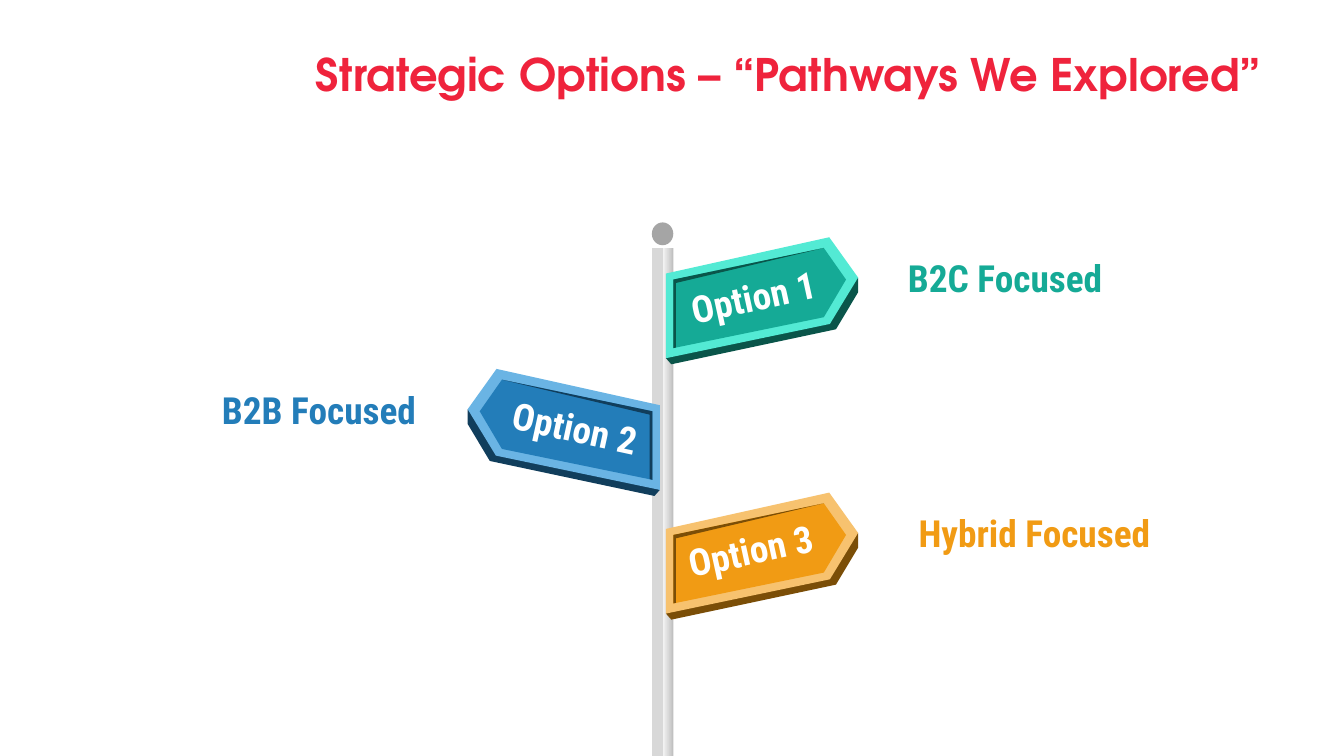
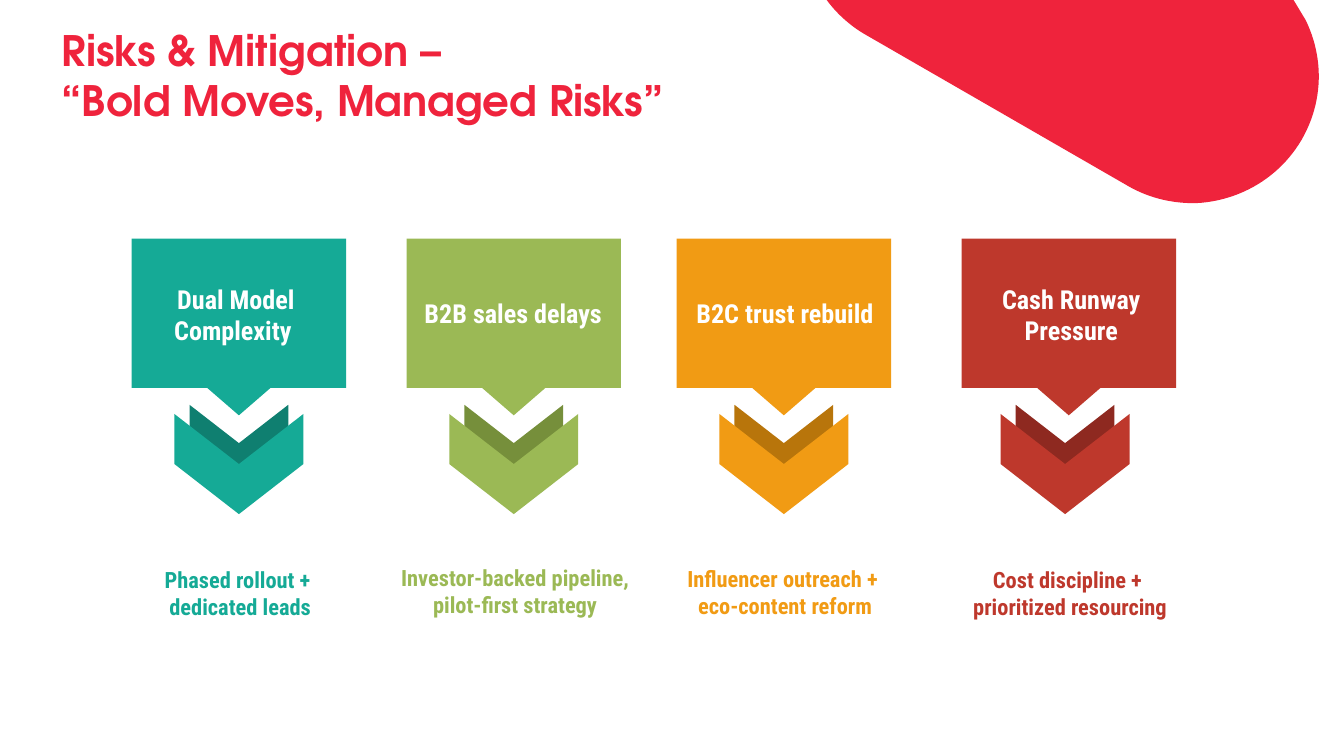
from dataclasses import dataclass

from pptx import Presentation
from pptx.dml.color import RGBColor
from pptx.enum.shapes import MSO_SHAPE
from pptx.enum.text import MSO_ANCHOR, PP_ALIGN
from pptx.oxml import parse_xml
from pptx.oxml.ns import nsdecls
from pptx.util import Pt


@dataclass(frozen=True)
class Shades:
    """One colour with its lighter and darker companions."""
    base: str
    dark: str
    light: str = "FFFFFF"


@dataclass(frozen=True)
class Theme:
    """Colours, fonts and type sizes of the presentation."""
    red: str = "EF233C"
    white: str = "FFFFFF"
    knob: str = "A5A5A5"
    pole: tuple = ((0, "D8D8D8"), (51, "D8D8D8"), (54, "F2F2F2"), (100, "BFBFBF"))
    teal: Shades = Shades("15AA96", "0A554A", "53EAD4")
    blue: Shades = Shades("237DB9", "113E5C", "6AB4E4")
    orange: Shades = Shades("F19B14", "7B4E07", "F7C26F")
    teal_column: Shades = Shades("15AA96", "0F7F70")
    green_column: Shades = Shades("9BB955", "768F3B")
    orange_column: Shades = Shades("F19B14", "B8750B")
    red_column: Shades = Shades("BE382C", "8E2920")
    title_font: str = "TeX Gyre Adventor"
    body_font: str = "Roboto Condensed"
    sign_size: float = 40
    heading_size: float = 28
    caption_size: float = 24


THEME = Theme()
SIGN_WIDTH = 205.9
SIGN_EDGE = ((0, 129.6), (5.8, 136.1), (182.2, 98.6), (205.9, 59), (205.9, 43.2))
SIGN_FRAME = ((0, 38.9), (0, 129.6), (175.7, 92.9), (205.9, 43.2), (175, 0))
SIGN_FACE = ((193, 45.4), (169.2, 11.5), (7.9, 45.4), (7.9, 118.8), (169.2, 85.7))
SIGN_SHADE = ((169.2, 11.5), (10.8, 49), (10.8, 118.1), (7.9, 118.8), (7.9, 45.4))


def paint(shape, color):
    """Give a shape a plain fill without line or shadow."""
    shape.shadow.inherit = False
    shape.line.fill.background()
    shape.fill.solid()
    shape.fill.fore_color.rgb = RGBColor.from_string(color)
    return shape


def add_preset(slide, kind, box, color, rotation=0):
    """Add a preset shape in a box of points."""
    shape = slide.shapes.add_shape(kind, *map(Pt, box))
    shape.rotation = rotation
    return paint(shape, color)


def add_outline(slide, points, color):
    """Add a closed outline through points."""
    start, *others = [(Pt(x), Pt(y)) for x, y in points]
    builder = slide.shapes.build_freeform(*start)
    builder.add_line_segments(others, close=True)
    return paint(builder.convert_to_shape(), color)


def add_text(slide, text, box, *, size, color, font=THEME.body_font, align=PP_ALIGN.LEFT,
             anchor=MSO_ANCHOR.TOP, margins=(0, 0), line_spacing=None, rotation=0):
    """Add bold text, one paragraph for each line."""
    shape = slide.shapes.add_textbox(*map(Pt, box))
    shape.rotation = rotation
    frame = shape.text_frame
    frame.word_wrap = True
    frame.vertical_anchor = anchor
    frame.margin_left = frame.margin_right = Pt(margins[0])
    frame.margin_top = frame.margin_bottom = Pt(margins[1])
    frame.text = text
    for paragraph in frame.paragraphs:
        paragraph.alignment = align
        if line_spacing:
            paragraph.line_spacing = Pt(line_spacing)
        paragraph.font.size = Pt(size)
        paragraph.font.bold = True
        paragraph.font.name = font
        paragraph.font.color.rgb = RGBColor.from_string(color)
    return shape


def add_title(slide, text, box, size, line_spacing, align=PP_ALIGN.LEFT):
    """Add the slide title."""
    add_text(slide, text, box, size=size, color=THEME.red, font=THEME.title_font,
             align=align, line_spacing=line_spacing)


def add_pole(slide, left, top, width, height):
    """Add the signpost pole with its knob."""
    pole = add_preset(slide, MSO_SHAPE.RECTANGLE, (left, top + 27.4, width, height - 27.4),
                      THEME.pole[0][1])
    stops = "".join(f'<a:gs pos="{position * 1000}"><a:srgbClr val="{color}"/></a:gs>'
                    for position, color in THEME.pole)
    gradient = parse_xml(f'<a:gradFill {nsdecls("a")} rotWithShape="1"><a:gsLst>{stops}'
                         '</a:gsLst><a:lin ang="0" scaled="0"/></a:gradFill>')
    properties = pole._element.spPr
    properties.replace(properties.solidFill, gradient)
    add_preset(slide, MSO_SHAPE.OVAL, (left, top, width, 24.5), THEME.knob)


def add_sign(slide, left, top, shades, text, text_offset, points_left=False):
    """Add a tilted sign that points right, or left when mirrored."""
    parts = ((SIGN_EDGE, shades.dark), (SIGN_FRAME, shades.light),
             (SIGN_FACE, shades.base), (SIGN_SHADE, shades.dark))
    for points, color in parts:
        placed = [(left + (SIGN_WIDTH - x if points_left else x), top + y) for x, y in points]
        add_outline(slide, placed, color)
    add_text(slide, text, (left + text_offset[0], top + text_offset[1], 160.6, 50.4),
             size=THEME.sign_size, color=THEME.white, align=PP_ALIGN.RIGHT,
             anchor=MSO_ANCHOR.MIDDLE, rotation=12.3 if points_left else 347.7)


def add_options_slide(presentation):
    """Build the signpost slide with three options."""
    slide = presentation.slides.add_slide(presentation.slide_layouts[6])
    add_title(slide, "Strategic Options – “Pathways We Explored”", (88.6, 49.7, 1262.9, 64.8),
              48, 57.6, PP_ALIGN.RIGHT)
    add_pole(slide, 698.4, 238.3, 23, 571.7)
    add_sign(slide, 501.1, 395.3, THEME.blue, "Option 2", (22.3, 34.6), points_left=True)
    add_sign(slide, 713.5, 254.2, THEME.teal, "Option 1", (0.7, 41))
    add_sign(slide, 713.5, 527.8, THEME.orange, "Option 3", (-2.2, 38.9))
    labels = (
        ("B2B Focused", (226.8, 414, 218.9, 50.4), THEME.blue, PP_ALIGN.RIGHT),
        ("B2C Focused", (972.7, 272.2, 218.9, 50.4), THEME.teal, PP_ALIGN.LEFT),
        ("Hybrid Focused", (984.2, 545.8, 318.2, 50.4), THEME.orange, PP_ALIGN.LEFT),
    )
    for text, box, shades, align in labels:
        add_text(slide, text, box, size=THEME.sign_size, color=shades.base, align=align,
                 anchor=MSO_ANCHOR.MIDDLE)


def curve_points(start, first, second, end, steps=24):
    """Return points along a cubic curve, without its start."""
    points = []
    for step in range(1, steps + 1):
        t = step / steps
        weights = ((1 - t) ** 3, 3 * t * (1 - t) ** 2, 3 * t * t * (1 - t), t ** 3)
        points.append(tuple(sum(weight * point[axis] for weight, point
                                in zip(weights, (start, first, second, end)))
                            for axis in (0, 1)))
    return points


def add_corner_band(slide, left, top):
    """Add the rounded red band that enters from the top edge."""
    points = [(0, 0), (500.4, 0), (513.4, 21.6)]
    curves = (
        ((532.8, 61.2), (532.8, 108.7), (509, 149.8)),
        ((485.3, 190.1), (444.2, 213.8), (400.3, 217.4)),
        ((374.4, 218.9), (347, 213.1), (323.3, 199.4)),
    )
    for curve in curves:
        points += curve_points(points[-1], *curve)
    points.append((41, 36.7))
    points += curve_points(points[-1], (25.2, 27.4), (11.5, 15.1), (0.7, 0.7))
    add_outline(slide, [(left + x, top + y) for x, y in points], THEME.red)


def add_risk(slide, left, top, shades, heading, heading_offset, caption, caption_top,
             chevron_shift=0):
    """Add one column: risk callout, two chevrons and the mitigation."""
    width = 229.7
    center = left + width / 2 + chevron_shift
    for length, span, middle, color in ((82.1, 105.8, 219.2, shades.dark),
                                        (107.3, 138.2, 241.6, shades.base)):
        add_preset(slide, MSO_SHAPE.CHEVRON,
                   (center - length / 2, top + middle - span / 2, length, span), color, 90)
    callout = add_preset(slide, MSO_SHAPE.DOWN_ARROW_CALLOUT, (left, top, width, 189.4),
                         shades.base)
    for index, value in enumerate((0.5, 0.179, 0.155, 0.845)):
        callout.adjustments[index] = value
    shared = {"align": PP_ALIGN.CENTER, "margins": (7.2, 3.6)}
    add_text(slide, heading, (left + heading_offset[0], top + heading_offset[1], 223.2, 131.8),
             size=THEME.heading_size, color=THEME.white, **shared)
    add_text(slide, caption, (left - 28.5, top + caption_top, 289.4, 131.8),
             size=THEME.caption_size, color=shades.base, **shared)


def add_risks_slide(presentation):
    """Build the slide of four risks and their mitigation."""
    slide = presentation.slides.add_slide(presentation.slide_layouts[6])
    add_title(slide, "Risks & Mitigation –\n“Bold Moves, Managed Risks”",
              (66.2, 26.6, 833.8, 103.7), 44.9, 53.8)
    add_corner_band(slide, 885.6, 0)
    risks = (
        (141.1, THEME.teal_column, "Dual Model Complexity ", (0, 44.6),
         "Phased rollout + \ndedicated leads", 347.8, 0),
        (435.6, THEME.green_column, "B2B sales delays ", (5.8, 59.8),
         "Investor-backed pipeline, pilot-first strategy", 345.6, 0),
        (725, THEME.orange_column, "B2C trust rebuild", (4.3, 59.8),
         "Influencer outreach + \neco-content reform", 346.3, 0),
        (1030.3, THEME.red_column, "Cash Runway Pressure", (5.8, 44.6),
         "Cost discipline + \nprioritized resourcing", 347.8, -4),
    )
    for left, *details in risks:
        add_risk(slide, left, 255.6, *details)


def main():
    """Build and save the presentation."""
    presentation = Presentation()
    presentation.slide_width = Pt(1440)
    presentation.slide_height = Pt(810)
    add_options_slide(presentation)
    add_risks_slide(presentation)
    presentation.save("out.pptx")


if __name__ == "__main__":
    main()
